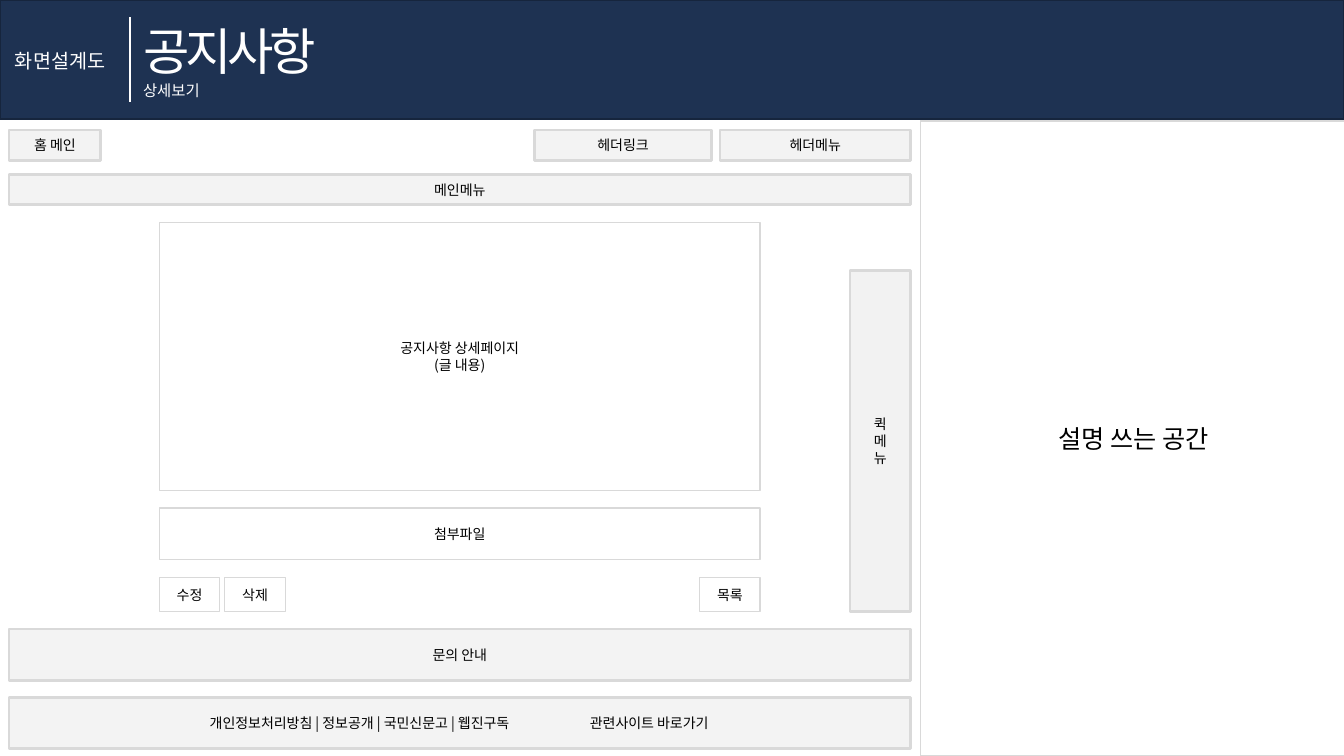
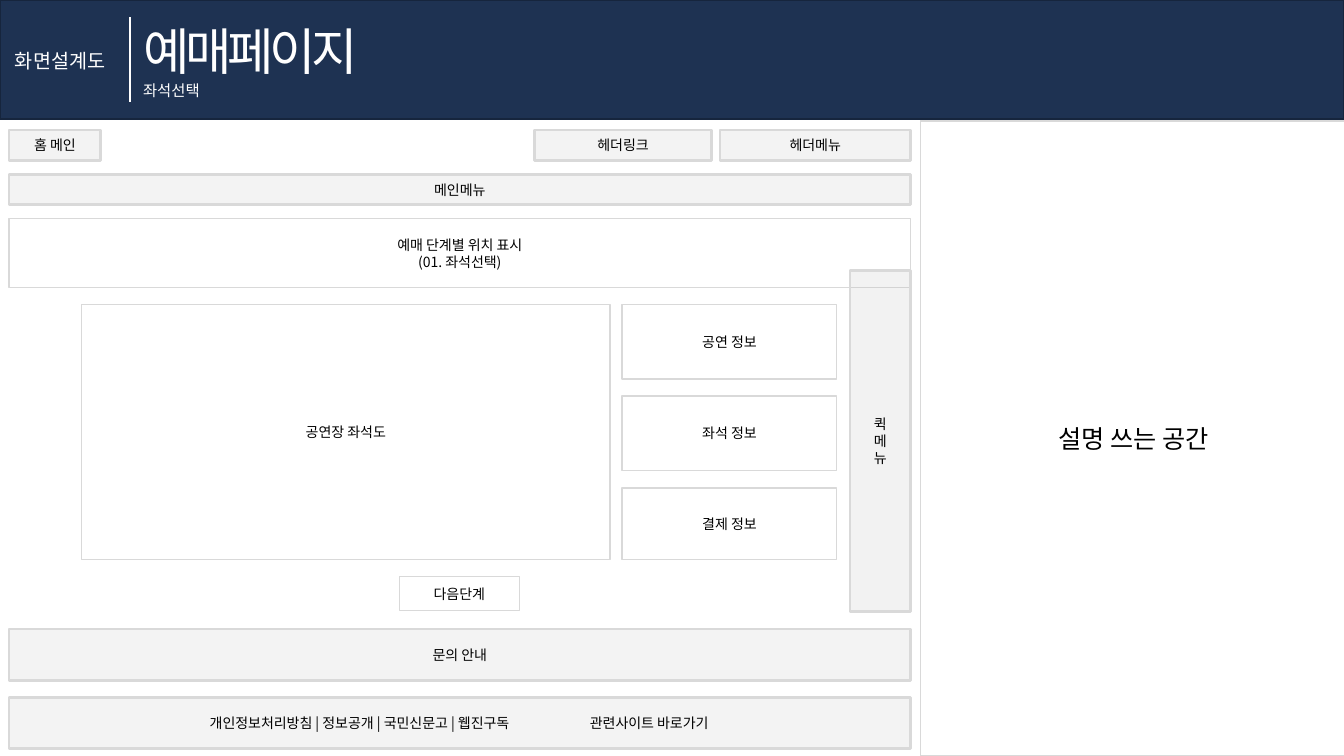
from lxml import etree
from pptx import Presentation
from pptx.dml.color import RGBColor
from pptx.enum.shapes import MSO_CONNECTOR, MSO_SHAPE
from pptx.enum.text import MSO_ANCHOR, MSO_AUTO_SIZE, PP_ALIGN
from pptx.oxml.ns import qn
from pptx.util import Inches, Pt

RECTANGLE = MSO_SHAPE.RECTANGLE
STRAIGHT = MSO_CONNECTOR.STRAIGHT
LEFT, CENTER = PP_ALIGN.LEFT, PP_ALIGN.CENTER
TOP, MIDDLE = MSO_ANCHOR.TOP, MSO_ANCHOR.MIDDLE
GROW = MSO_AUTO_SIZE.SHAPE_TO_FIT_TEXT

SLIDE_W, SLIDE_H = 13.33, 7.5
FONT = "Noto Sans CJK KR"
NAVY, NAVY_EDGE = "1E3252", "16253D"
WHITE, BLACK = "FFFFFF", "000000"
GRAY, DARK_GRAY = "D9D9D9", "BFBFBF"

PAGE_X, PAGE_W = 0.09, 8.94
PAGE_RIGHT = PAGE_X + PAGE_W
GAP = 0.17
BUTTON_W, BUTTON_H = 0.6, 0.34
HEADER_LEADING, BOX_LEADING = 1.28, 1.2


def rgb(color):
    return RGBColor.from_string(color)


def set_alpha(fill, percent):
    """Make a solid fill partly transparent; percent is its opacity."""
    color = fill._xPr.find(qn("a:solidFill")).find(qn("a:srgbClr"))
    etree.SubElement(color, qn("a:alpha")).set("val", str(percent * 1000))


def write(frame, lines, size, color, align, leading, tracking=None):
    """Fill a text frame, one paragraph a line, in the shared font."""
    for index, line in enumerate(lines):
        paragraph = frame.add_paragraph() if index else frame.paragraphs[0]
        paragraph.text = line
        paragraph.alignment = align
        paragraph.line_spacing = Pt(round(size * leading, 1))
        font = paragraph.font
        font.size = Pt(size)
        font.color.rgb = rgb(color)
        font.name = FONT
        etree.SubElement(font._rPr, qn("a:ea")).set("typeface", FONT)
        if tracking is not None:
            font._rPr.set("spc", str(tracking * 100))


def place(shape, x, y, w, h):
    shape.left, shape.top = Inches(x), Inches(y)
    shape.width, shape.height = Inches(w), Inches(h)


def add_rect(slide, x, y, w, h, fill, line, weight):
    rect = slide.shapes.add_shape(
        RECTANGLE, Inches(x), Inches(y), Inches(w), Inches(h))
    rect.shadow.inherit = False
    rect.fill.solid()
    rect.fill.fore_color.rgb = rgb(fill)
    rect.line.color.rgb = rgb(line)
    rect.line.width = Pt(weight)
    return rect


def add_box(slide, text, x, y, w, h, size=10):
    """White wireframe box with a centred label."""
    box = add_rect(slide, x, y, w, h, WHITE, GRAY, 1)
    box.text_frame.vertical_anchor = MIDDLE
    write(box.text_frame, text.split("\n"), size, BLACK, CENTER, BOX_LEADING)
    return box


def add_common_box(slide, text, x, y, w, h, fill=GRAY, opacity=30):
    """Tinted box for the parts found on every page."""
    box = add_box(slide, text, x, y, w, h)
    box.fill.fore_color.rgb = rgb(fill)
    set_alpha(box.fill, opacity)
    box.line.width = Pt(2)
    return box


def format_label(label, text, size, tracking=None):
    """White, left-aligned, unwrapped text in the header band."""
    frame = label.text_frame
    frame.vertical_anchor = TOP
    frame.word_wrap = False
    frame.auto_size = GROW
    write(frame, [text], size, WHITE, LEFT, HEADER_LEADING, tracking)


def add_label(slide, text, x, y, w, h, size):
    label = slide.shapes.add_textbox(
        Inches(x), Inches(y), Inches(w), Inches(h))
    format_label(label, text, size)


def add_header(slide, title, subtitle):
    heading = slide.shapes.title
    band = add_rect(slide, 0, 0, SLIDE_W, 1.18, NAVY, NAVY_EDGE, 1)
    heading._element.addprevious(band._element)

    place(heading, 1.32, 0.11, 0.17 + 0.47 * len(title), 0.71)
    format_label(heading, title, 36, tracking=-3)
    add_label(slide, "화면설계도", 0.05, 0.42, 1.18, 0.34, 14)
    add_label(slide, subtitle, 1.32, 0.74, 0.82, 0.29, 11)

    divider = slide.shapes.add_connector(
        STRAIGHT, Inches(1.29), Inches(0.17), Inches(1.29), Inches(1.01))
    divider.line.color.rgb = rgb(WHITE)
    divider.line.width = Pt(1.5)
    etree.SubElement(divider._element.spPr, qn("a:effectLst"))


def add_site_links(slide):
    """Bottom bar: site links, then the related sites at a tab stop."""
    text = ("개인정보처리방침 | 정보공개 | 국민신문고 | 웹진구독"
            "\t관련사이트 바로가기")
    bar = add_common_box(slide, text, PAGE_X, 6.92, PAGE_W, 0.51)
    bar.text_frame.margin_left = Inches(1.99)
    paragraph = bar.text_frame.paragraphs[0]
    paragraph.alignment = LEFT
    tabs = etree.Element(qn("a:tabLst"))
    stop = etree.SubElement(tabs, qn("a:tab"))
    stop.set("pos", str(Inches(3.77)))
    stop.set("algn", "l")
    paragraph.font._rPr.addprevious(tabs)


def add_site_frame(slide):
    """Menus, quick menu, footer bars and description panel of each page."""
    add_box(slide, "설명 쓰는 공간", 9.13, 1.2, 4.22, 6.3, size=18)
    for text, x, w in (("홈 메인", PAGE_X, 0.91),
                       ("헤더링크", 5.3, 1.76),
                       ("헤더메뉴", PAGE_RIGHT - 1.89, 1.89)):
        add_common_box(slide, text, x, 1.29, w, 0.3)
    add_common_box(slide, "메인메뉴", PAGE_X, 1.73, PAGE_W, 0.3)
    add_common_box(slide, "문의 안내", PAGE_X, 6.24, PAGE_W, 0.51)
    add_site_links(slide)
    add_common_box(slide, "퀵\n메\n뉴", PAGE_RIGHT - BUTTON_W, 2.68,
                   BUTTON_W, 3.39, DARK_GRAY, 20)


def add_notice_detail(slide):
    x, w = 1.58, 5.96
    add_box(slide, "공지사항 상세페이지\n(글 내용)", x, 2.21, w, 2.66)
    add_box(slide, "첨부파일", x, 5.04, w, 0.51)
    for text, button_x in (("수정", x),
                           ("삭제", x + BUTTON_W + 0.05),
                           ("목록", x + w - BUTTON_W)):
        add_box(slide, text, button_x, 5.73, BUTTON_W, BUTTON_H)


def add_seat_selection(slide):
    add_box(slide, "예매 단계별 위치 표시\n(01. 좌석선택)",
            PAGE_X, 2.17, PAGE_W, 0.68)
    top = 3.02
    add_box(slide, "공연장 좌석도", 0.81, top, 5.24, 2.53)
    y = top
    for text, h in (("공연 정보", 0.74), ("좌석 정보", 0.74),
                    ("결제 정보", 0.71)):
        add_box(slide, text, 6.17, y, 2.13, h)
        y += h + GAP
    add_box(slide, "다음단계", 3.96, 5.72, 1.19, BUTTON_H)


def main():
    deck = Presentation()
    deck.slide_width, deck.slide_height = Inches(SLIDE_W), Inches(SLIDE_H)
    title_only = deck.slide_layouts[5]
    for title, subtitle, add_content in (
            ("공지사항", "상세보기", add_notice_detail),
            ("예매페이지", "좌석선택", add_seat_selection)):
        slide = deck.slides.add_slide(title_only)
        add_header(slide, title, subtitle)
        add_content(slide)
        add_site_frame(slide)
    deck.save("out.pptx")


if __name__ == "__main__":
    main()
